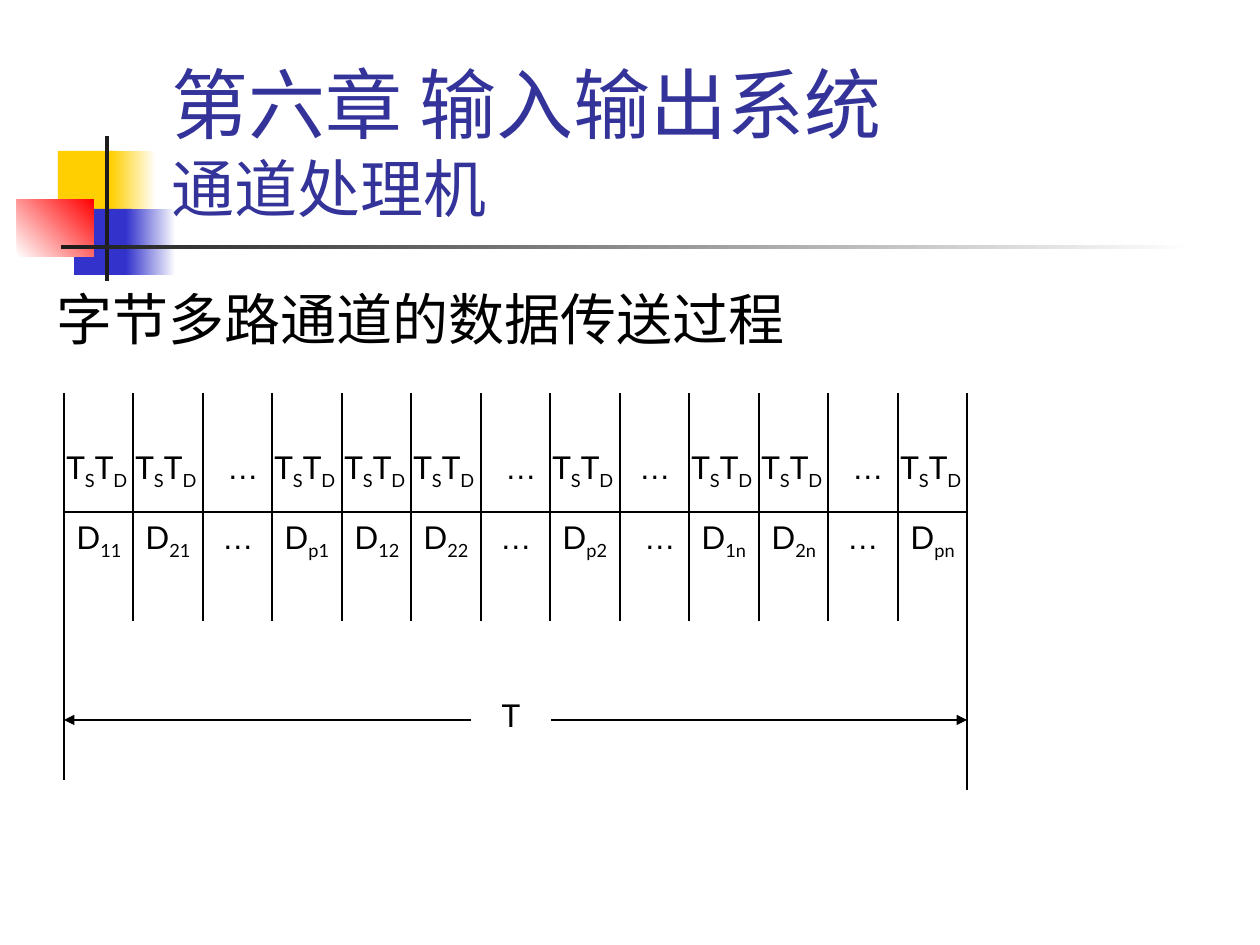
import dataclasses

import pptx
import pptx.dml.color
import pptx.enum.shapes
import pptx.enum.text
import pptx.oxml.xmlchemy
import pptx.util

EMU_PER_PX = 914400 / 126
TIMELINE_LEFT, TIMELINE_RIGHT = 64, 967
TICK_TOP, TICK_BOTTOM, AXIS_Y, PERIOD_Y = 393, 621, 512, 720
BYTES = ["11", "21", "…", "p1", "12", "22", "…", "p2", "…", "1n", "2n", "…", "pn"]
ROUND_GAP = 8


@dataclasses.dataclass(frozen=True)
class Theme:
    """Colours, fonts and type sizes of the slide."""
    title: str = "333399"
    ink: str = "000000"
    white: str = "FFFFFF"
    yellow: str = "FFCF01"
    blue: str = "3333CC"
    red: str = "FF0000"
    bar: str = "1C1C1C"
    font: str = "Lato"
    dots_font: str = "Arial"
    title_size: int = 44
    subtitle_size: int = 36
    body_size: int = 32
    label_size: int = 18
    line_width: float = 0.75


THEME = Theme()


def px(length):
    """Turn px into EMU."""
    return pptx.util.Emu(round(length * EMU_PER_PX))


def rgb(value):
    """Turn a hex string into a colour."""
    return pptx.dml.color.RGBColor.from_string(value)


def element(tag):
    """Make an empty XML element."""
    return pptx.oxml.xmlchemy.OxmlElement(tag)


def style_run(run, size, color=THEME.ink, font=THEME.font):
    """Set the font of one run."""
    run.font.size = pptx.util.Pt(size)
    run.font.name = font
    run.font.color.rgb = rgb(color)


def place(shape, left, top, width, height):
    """Move and size a placeholder."""
    shape.left, shape.top, shape.width, shape.height = map(px, (left, top, width, height))


def add_ornament(slide, box, start, end=None, angle=0):
    """Add a plain or fading block behind the title."""
    block = slide.shapes.add_shape(pptx.enum.shapes.MSO_SHAPE.RECTANGLE, *map(px, box))
    block.shadow.inherit = False
    block.line.fill.background()
    if end is None:
        block.fill.solid()
        block.fill.fore_color.rgb = rgb(start)
    else:
        block.fill.gradient()
        block.fill.gradient_angle = angle
        for stop, color in zip(block.fill.gradient_stops, (start, end)):
            stop.color.rgb = rgb(color)
    slide.shapes.title._element.addprevious(block._element)


def add_line(slide, start, end, arrow=False):
    """Add a thin straight line, with an arrowhead at its end if wanted."""
    line = slide.shapes.add_connector(
        pptx.enum.shapes.MSO_CONNECTOR.STRAIGHT, *map(px, (*start, *end)))
    line.line.width = pptx.util.Pt(THEME.line_width)
    line.line.color.rgb = rgb(THEME.ink)
    if arrow:
        head = element("a:tailEnd")
        head.set("type", "triangle")
        line.line._get_or_add_ln().append(head)
    line._element.spPr.append(element("a:effectLst"))


def add_label(slide, box, parts, centred=False, font=THEME.font):
    """Add a label whose parts are alternately normal and subscript."""
    label = slide.shapes.add_textbox(*map(px, box))
    label.text_frame.word_wrap = True
    label.text_frame.auto_size = pptx.enum.text.MSO_AUTO_SIZE.SHAPE_TO_FIT_TEXT
    paragraph = label.text_frame.paragraphs[0]
    if centred:
        paragraph.alignment = pptx.enum.text.PP_ALIGN.CENTER
    for position, part in enumerate(parts):
        run = paragraph.add_run()
        run.text = part
        style_run(run, THEME.label_size, font=font)
        if position % 2:
            run.font._element.set("baseline", "-25000")


def add_dots(slide, left, top, width):
    """Add a centred ellipsis."""
    add_label(slide, (left, top, width, 50), ["…"], True, THEME.dots_font)


def add_ornaments(slide):
    """Add the coloured blocks and bars beside the title."""
    add_ornament(slide, (58, 151, 60, 66), THEME.yellow)
    add_ornament(slide, (111, 151, 45, 66), THEME.yellow, THEME.white)
    add_ornament(slide, (74, 209, 58, 66), THEME.blue)
    add_ornament(slide, (126, 209, 50, 66), THEME.blue, THEME.white)
    add_ornament(slide, (17, 199, 77, 58), THEME.white, THEME.red, 45)
    add_ornament(slide, (105, 136, 4, 145), THEME.bar)
    add_ornament(slide, (61, 245, 1134, 4), THEME.bar, THEME.white)


def fill_headings(slide):
    """Fill the title and body placeholders."""
    title, body = slide.placeholders
    place(title, 159, 29, 1073, 202)
    title.text_frame.text = "第六章 输入输出系统\v通道处理机"
    title.text_frame.vertical_anchor = pptx.enum.text.MSO_ANCHOR.BOTTOM
    heading = title.text_frame.paragraphs[0]
    heading.alignment = pptx.enum.text.PP_ALIGN.LEFT
    for run, size in zip(heading.runs, (THEME.title_size, THEME.subtitle_size)):
        style_run(run, size, THEME.title)

    place(body, 44, 278, 1189, 86)
    body.text_frame.text = "字节多路通道的数据传送过程"
    topic = body.text_frame.paragraphs[0]
    properties = topic._p.get_or_add_pPr()
    properties.set("marL", str(px(48)))
    properties.set("indent", str(px(-48)))
    properties.append(element("a:buNone"))
    topic.space_before = pptx.util.Pt(0)
    style_run(topic.runs[0], THEME.body_size)
    for frame in (title.text_frame, body.text_frame):
        frame.auto_size = pptx.enum.text.MSO_AUTO_SIZE.NONE


def add_timeline(slide):
    """Add the time slots and the bytes sent in them."""
    pitch = (TIMELINE_RIGHT - TIMELINE_LEFT) / len(BYTES)
    add_line(slide, (TIMELINE_LEFT, TICK_TOP), (TIMELINE_LEFT, 780))
    add_line(slide, (TIMELINE_LEFT, AXIS_Y), (TIMELINE_RIGHT, AXIS_Y))
    for slot, byte in enumerate(BYTES):
        left = round(TIMELINE_LEFT + slot * pitch)
        right = round(TIMELINE_LEFT + (slot + 1) * pitch)
        add_line(slide, (right, TICK_TOP), (right, TICK_BOTTOM))
        if slot == ROUND_GAP:
            add_dots(slide, left, 442, 70)
            add_dots(slide, left, AXIS_Y, 80)
        elif byte == "…":
            add_dots(slide, left - 10, 442, 100)
            add_dots(slide, left, AXIS_Y, 70)
        else:
            add_label(slide, (left - 10, 442, 100, 55), ["T", "S", "T", "D"])
            width = 80 if byte.startswith("p") else 90
            add_label(slide, (left, AXIS_Y, width, 55), ["D", byte])


def add_period(slide):
    """Add the span T under the timeline."""
    add_line(slide, (TIMELINE_RIGHT, 611), (TIMELINE_RIGHT, 790))
    add_line(slide, (471, PERIOD_Y), (TIMELINE_LEFT, PERIOD_Y), arrow=True)
    add_line(slide, (551, PERIOD_Y), (TIMELINE_RIGHT, PERIOD_Y), arrow=True)
    add_label(slide, (471, 690, 80, 50), ["T"], centred=True)


def main():
    """Build and save the slide."""
    deck = pptx.Presentation()
    deck.slide_width, deck.slide_height = px(1260), px(945)
    slide = deck.slides.add_slide(deck.slide_layouts[1])
    fill_headings(slide)
    add_ornaments(slide)
    add_timeline(slide)
    add_period(slide)
    deck.save("out.pptx")


if __name__ == "__main__":
    main()
